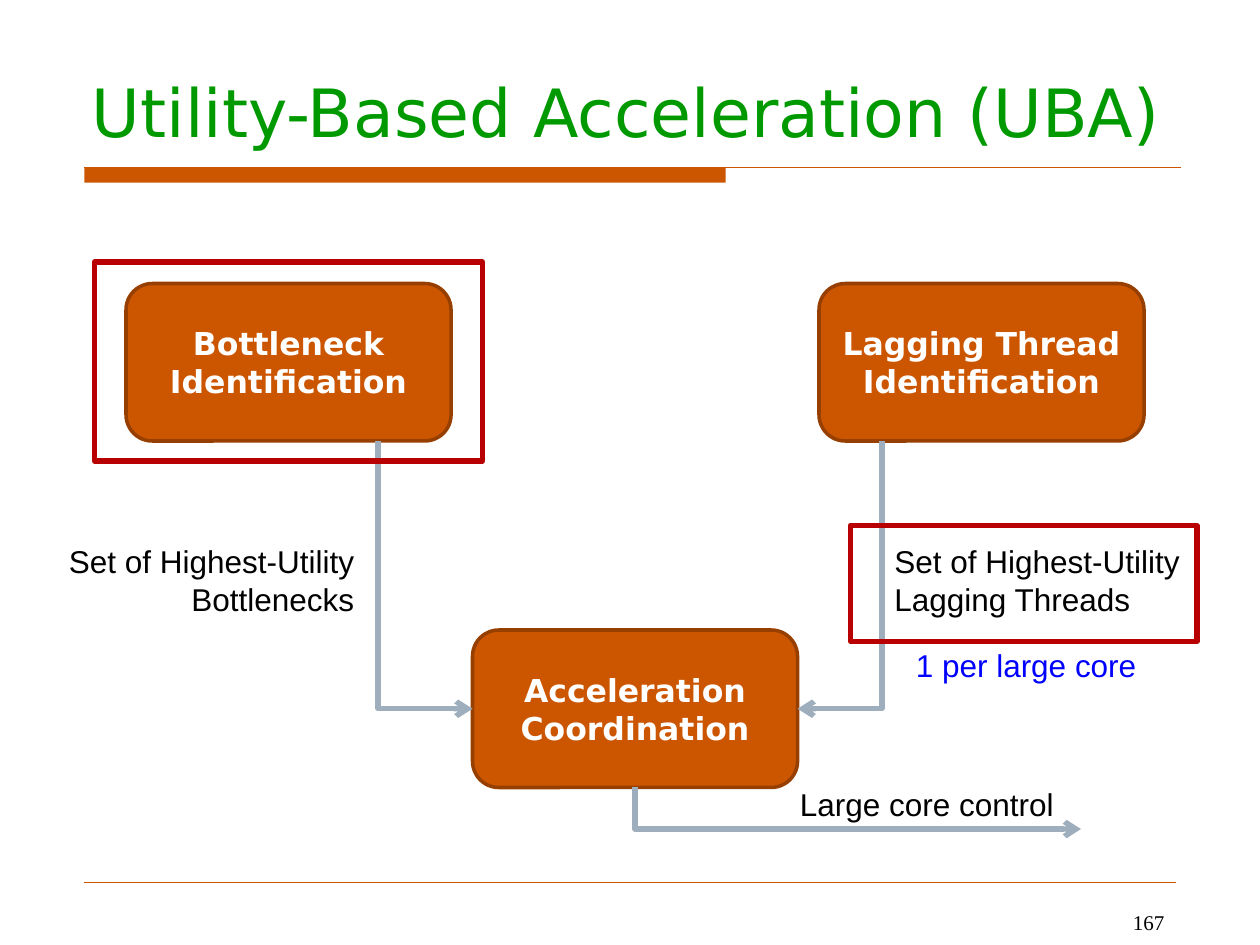
import pptx
import pptx.dml.color
import pptx.enum.shapes
import pptx.enum.text
import pptx.oxml
import pptx.oxml.ns
import pptx.util
from pptx.util import Inches

COLORS = {
    "title": "009900", "orange": "CC5500", "brown": "973F00", "arrow": "9FAEBD",
    "highlight": "B90000", "note": "0000FF", "black": "000000", "white": "FFFFFF",
}
SHAPE = pptx.enum.shapes.MSO_SHAPE
CONNECTOR = pptx.enum.shapes.MSO_CONNECTOR
ALIGN = pptx.enum.text.PP_ALIGN
ANCHOR = pptx.enum.text.MSO_ANCHOR
BOX_WIDTH, BOX_HEIGHT = 2.58, 1.25


def rgb(name):
    return pptx.dml.color.RGBColor.from_string(COLORS[name])


class SlideBuilder:
    def __init__(self, slide):
        self.slide = slide
        self.heading_font = "DejaVu Sans"
        self.label_font = "Arial"

    def set_text(self, shape, text, size, font, color, align=ALIGN.LEFT, bold=False):
        shape.text_frame.text = text
        for paragraph in shape.text_frame.paragraphs:
            paragraph.alignment = align
            for run in paragraph.runs:
                run.font.size = pptx.util.Pt(size)
                run.font.name = font
                run.font.bold = bold
                run.font.color.rgb = rgb(color)

    def title(self, text, left, top, width, height):
        shape = self.slide.shapes.title
        shape.left, shape.top = Inches(left), Inches(top)
        shape.width, shape.height = Inches(width), Inches(height)
        self.set_text(shape, text, 38, self.heading_font, "title")
        shape.text_frame.vertical_anchor = ANCHOR.BOTTOM
        shape.text_frame.auto_size = pptx.enum.text.MSO_AUTO_SIZE.NONE

    def shape(self, kind, left, top, width, height, fill=None, line=None, weight=1):
        shape = self.slide.shapes.add_shape(
            kind, Inches(left), Inches(top), Inches(width), Inches(height))
        shape.shadow.inherit = False
        if fill:
            shape.fill.solid()
            shape.fill.fore_color.rgb = rgb(fill)
        else:
            shape.fill.background()
        if line:
            shape.line.color.rgb = rgb(line)
            shape.line.width = pptx.util.Pt(weight)
        else:
            shape.line.fill.background()
        return shape

    def step(self, text, left, top):
        shape = self.shape(SHAPE.ROUNDED_RECTANGLE, left, top, BOX_WIDTH, BOX_HEIGHT,
                           "orange", "brown", 2)
        self.set_text(shape, text, 18, self.heading_font, "white", ALIGN.CENTER, True)
        shape.text_frame.vertical_anchor = ANCHOR.MIDDLE

    def highlight(self, left, top, width, height):
        self.shape(SHAPE.RECTANGLE, left, top, width, height, None, "highlight", 3)

    def label(self, text, left, top, width, height, align=ALIGN.LEFT,
              color="black", size=18, font=None, wrap=False):
        box = self.slide.shapes.add_textbox(
            Inches(left), Inches(top), Inches(width), Inches(height))
        box.text_frame.word_wrap = wrap
        self.set_text(box, text, size, font or self.label_font, color, align)

    def line(self, start, end, color, weight, kind=CONNECTOR.STRAIGHT):
        connector = self.slide.shapes.add_connector(
            kind, *(Inches(value) for value in (*start, *end)))
        connector.line.color.rgb = rgb(color)
        connector.line.width = pptx.util.Pt(weight)
        connector._element.spPr.append(pptx.oxml.parse_xml(
            f'<a:effectLst {pptx.oxml.ns.nsdecls("a")}/>'))
        return connector

    def down_then_across(self, start, end):
        """Draw a one-bend arrow: a quarter-turned connector about the same centre."""
        center_x, center_y = (start[0] + end[0]) / 2, (start[1] + end[1]) / 2
        half_width, half_height = (end[1] - start[1]) / 2, abs(end[0] - start[0]) / 2
        to_right = end[0] > start[0]
        side = half_width if to_right else -half_width
        connector = self.line((center_x + side, center_y - half_height),
                              (center_x - side, center_y + half_height),
                              "arrow", 3, CONNECTOR.ELBOW)
        properties = connector._element.spPr
        properties.find(pptx.oxml.ns.qn("a:prstGeom")).set("prst", "bentConnector2")
        turn = 270 if to_right else 90
        properties.find(pptx.oxml.ns.qn("a:xfrm")).set("rot", str(turn * 60000))
        properties.find(pptx.oxml.ns.qn("a:ln")).append(pptx.oxml.parse_xml(
            f'<a:tailEnd {pptx.oxml.ns.nsdecls("a")} type="arrow"/>'))


def main():
    presentation = pptx.Presentation()
    presentation.slide_width, presentation.slide_height = Inches(10), Inches(7.5)
    slide = presentation.slides.add_slide(presentation.slide_layouts[5])
    builder = SlideBuilder(slide)

    builder.shape(SHAPE.RECTANGLE, 0.67, 1.33, 5.09, 0.12, "orange")
    builder.line((0.67, 1.33), (9.37, 1.33), "orange", 0.75)
    builder.line((0.67, 7), (9.33, 7), "orange", 0.25)
    builder.title("Utility-Based Acceleration (UBA)", 0.63, 0.33, 8.95, 0.92)

    steps = [("Bottleneck\nIdentification", 1, 2.25),
             ("Lagging Thread\nIdentification", 6.5, 2.25),
             ("Acceleration\nCoordination", 3.75, 5)]
    for text, left, top in steps:
        builder.step(text, left, top)

    middle = 5 + BOX_HEIGHT / 2
    builder.down_then_across((7, 3.5), (3.75 + BOX_WIDTH, middle))
    builder.down_then_across((3, 3.5), (3.75, middle))
    builder.down_then_across((3.75 + BOX_WIDTH / 2, 6.25), (8.58, 6.58))

    builder.label("Set of Highest-Utility\nLagging Threads", 7, 4.25, 2.49, 0.71)
    builder.label("Set of Highest-Utility\nBottlenecks", 0.42, 4.25, 2.49, 0.71, ALIGN.RIGHT)
    builder.label("Large core control", 6.25, 6.18, 2.24, 0.4)
    builder.highlight(0.75, 2.08, 3.08, 1.58)
    builder.highlight(6.75, 4.17, 2.75, 0.92)
    builder.label("1 per large core", 7.17, 5.08, 1.97, 0.4, color="note")
    builder.label("167", 7.17, 7.17, 2.17, 0.18, ALIGN.RIGHT, size=12,
                  font="Times New Roman", wrap=True)
    presentation.save("out.pptx")


if __name__ == "__main__":
    main()
